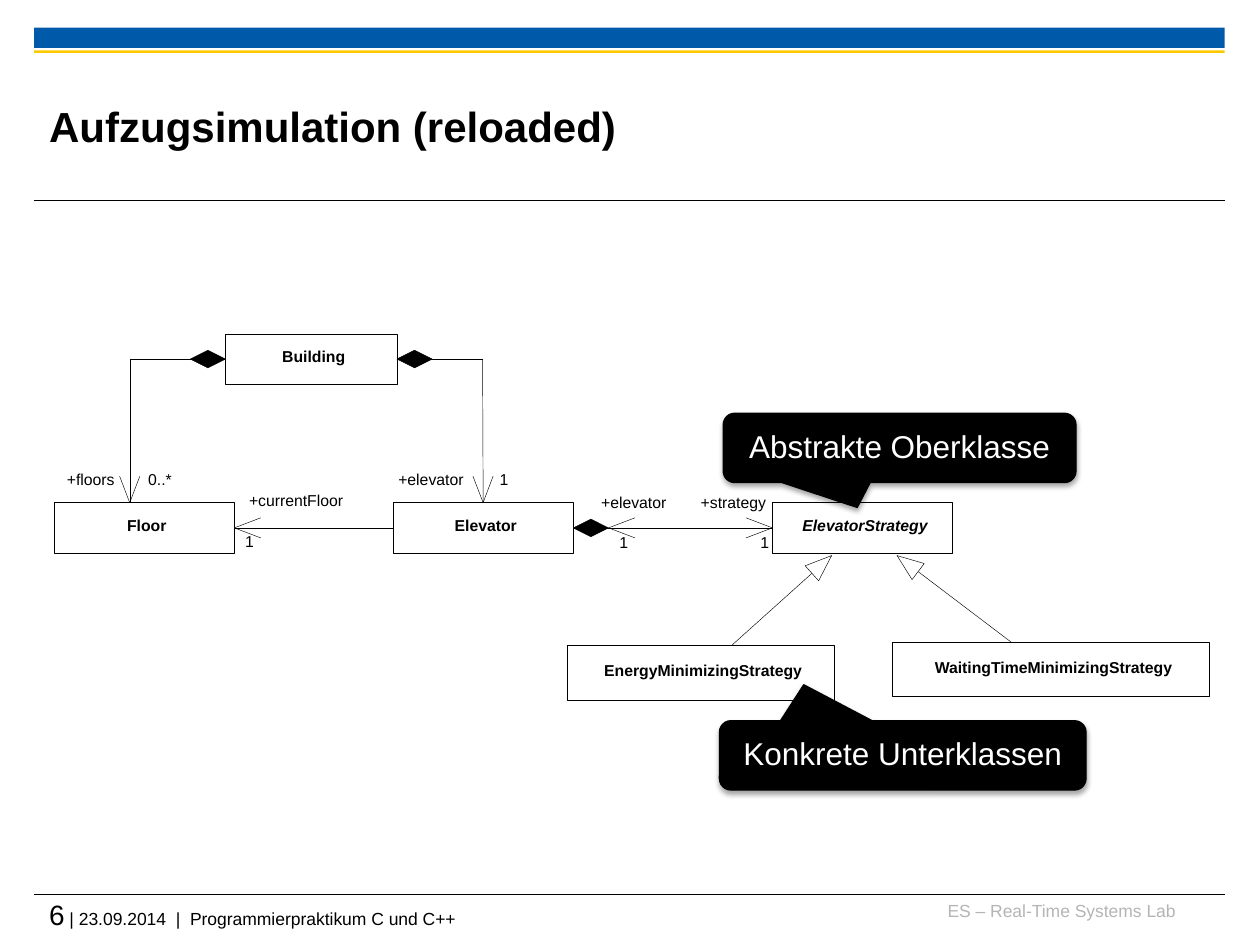
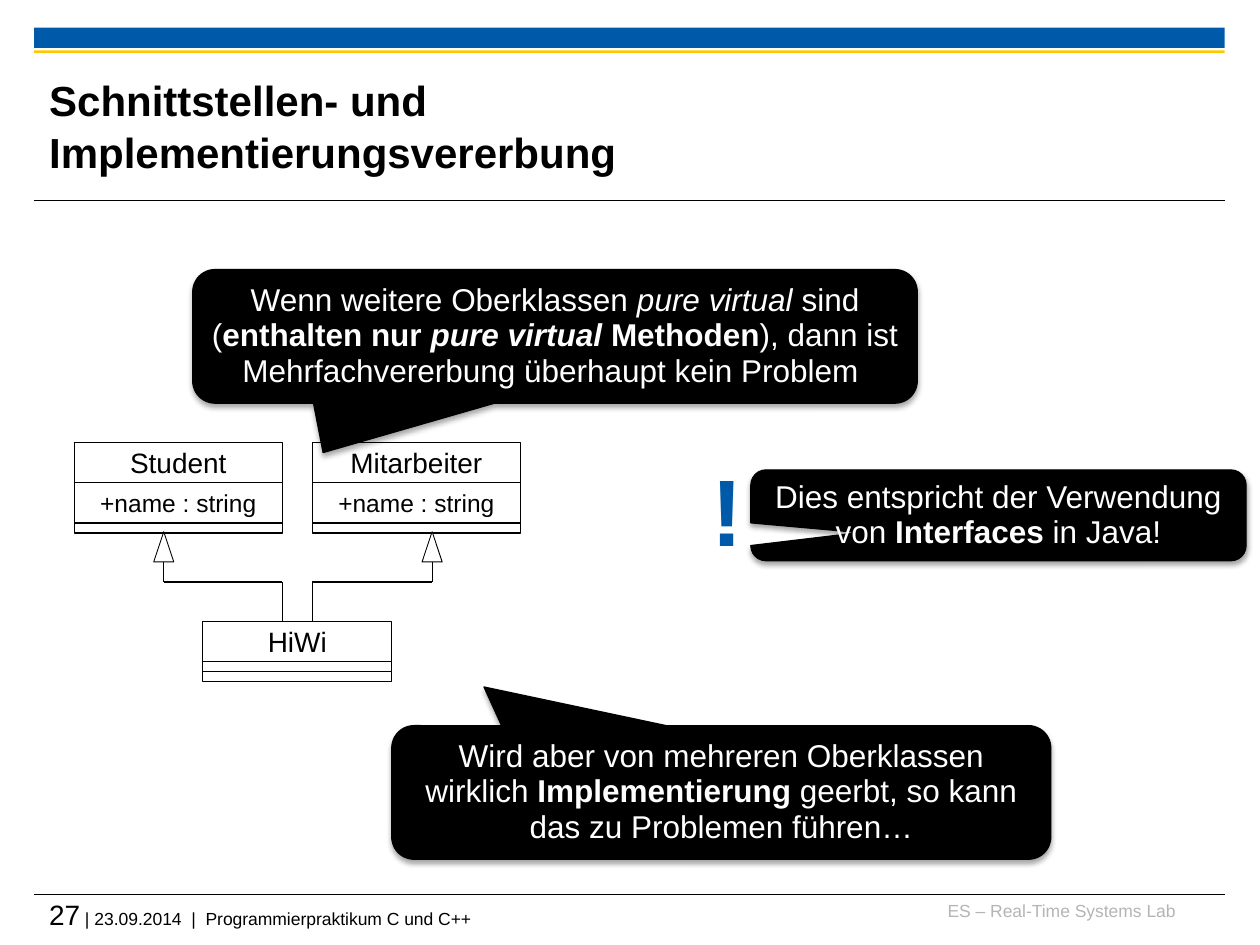
from math import hypot

from lxml import etree
from pptx import Presentation
from pptx.dml.color import RGBColor
from pptx.enum import shapes, text
from pptx.oxml.ns import qn
from pptx.util import Inches, Pt

WIDTH, HEIGHT = 10, 7.5
FONT = "Arial"
COLORS = {"ink": "000000", "paper": "FFFFFF", "blue": "005AA9",
          "gold": "FDCA00", "grey": "B5B5B5"}
HAIR, THIN, RULE, OUTLINE = 0.25, 0.5, 0.6, 0.75  # line widths in points

# Shared content
LAB = "ES – Real-Time Systems Lab"
FOOTER = " | 23.09.2014  |  Programmierpraktikum C und C++"
BANDS = [(0.22, 0.16, "blue"), (0.4, 0.02, "gold")]  # top, height, colour
RULES = [1.59, 7.1]

# Class diagram: name -> (left, top, width, height, text style)
CLASSES = {
    "Building": (1.79, 2.65, 1.36, 0.4, "b"),
    "Elevator": (3.12, 3.99, 1.43, 0.4, "b"),
    "ElevatorStrategy": (6.13, 3.99, 1.43, 0.4, "bi"),
    "Floor": (0.43, 3.99, 1.43, 0.4, "b"),
    "EnergyMinimizingStrategy": (4.5, 5.12, 2.12, 0.44, "b"),
    "WaitingTimeMinimizingStrategy": (7.08, 5.1, 2.52, 0.43, "b"),
}
TOP, LEFT, BOTTOM, RIGHT = range(4)
SIDES = [(0.5, 0), (0, 0.5), (0.5, 1), (1, 0.5)]
# A stop is a point or a class with one of its sides; the last stop is the tip
ASSOCIATIONS = [
    [("Elevator", LEFT), ("Floor", RIGHT)],
    [("Elevator", RIGHT), ("ElevatorStrategy", LEFT)],
    [("Building", RIGHT), (3.83, 2.85), ("Elevator", TOP)],
    [("Building", LEFT), (1.03, 2.85), (1.03, 3.99)],
]
INHERITANCE = [[(5.81, 5.12), (6.6, 4.41)], [(8.03, 5.1), (7.12, 4.41)]]
DIAMONDS = [("Building", LEFT), ("Building", RIGHT), ("Elevator", RIGHT)]
DIAMOND_WIDTH, DIAMOND_HEIGHT = 0.28, 0.14
HEAD_LENGTH, HEAD_HALF = 0.21, 0.08
LABELS = [  # text, centre x, top
    ("+currentFloor", 2.35, 3.91), ("1", 1.98, 4.23),
    ("+elevator", 5.03, 3.92), ("1", 4.95, 4.24),
    ("+strategy", 5.82, 3.92), ("1", 6.07, 4.24),
    ("+elevator", 3.42, 3.74), ("1", 4, 3.74),
    ("+floors", 0.72, 3.74), ("0..*", 1.27, 3.74),
]

# Callouts: area, pointer (x, y), spans of (text, style)
SIMULATION_CALLOUTS = [
    ((5.74, 3.28, 2.8, 0.55), (-0.12, 0.86), [("Abstrakte Oberklasse", "")]),
    ((5.71, 5.72, 2.91, 0.55), (-0.27, -1.02), [("Konkrete Unterklassen", "")]),
]
INHERITANCE_CALLOUTS = [
    ((1.53, 2.14, 5.75, 1.06), (-0.32, 0.87), [
        ("Wenn weitere Oberklassen ", ""), ("pure virtual ", "i"), ("sind (", ""),
        ("enthalten nur ", "b"), ("pure virtual ", "bi"), ("Methoden", "b"),
        ("), dann ist Mehrfachvererbung überhaupt kein Problem ", "")]),
    ((5.96, 3.73, 3.93, 0.72), (-0.28, 0.19), [
        ("Dies entspricht der Verwendung von ", ""), ("Interfaces", "b"),
        (" in Java!", "")]),
    ((3.11, 5.76, 5.23, 1.06), (-0.36, -0.79), [
        ("Wird aber von mehreren Oberklassen wirklich ", ""),
        ("Implementierung", "b"), (" geerbt, so kann das zu Problemen führen…", "")]),
]

# Class tables: left, top, width, rows of (text, size)
ROW, EMPTY_ROW = 0.32, 0.08
TABLES = [
    (1.61, 4.93, 1.5, [("HiWi", 16), None, None]),
    (0.59, 3.51, 1.65, [("Student", 16), ("+name : string", 14), None]),
    (2.48, 3.51, 1.65, [("Mitarbeiter", 16), ("+name : string", 14), None]),
]
BRANCHES = [(1.3, 2.24), (3.43, 2.48)]  # triangle x, x where it meets HiWi
TRIANGLE_WIDTH, TRIANGLE_HEIGHT = 0.16, 0.24
TABLE_FOOT, BEND, HIWI_TOP = 4.22, 4.62, 4.93


def color(name):
    return RGBColor.from_string(COLORS[name])


def paint(shape, fill=None, line=None):
    """Set fill and outline; None leaves that part out."""
    shape.shadow.inherit = False
    if fill:
        shape.fill.solid()
        shape.fill.fore_color.rgb = color(fill)
    else:
        shape.fill.background()
    if line is None:
        shape.line.fill.background()
    else:
        shape.line.color.rgb = color("ink")
        shape.line.width = Pt(line)


def write(shape, spans, align="CENTER", anchor="MIDDLE", inset=True, wrap=True,
          spacing=None):
    """Fill a shape with spans of (text, size, colour, style)."""
    frame = shape.text_frame
    frame.word_wrap = wrap
    frame.auto_size = text.MSO_AUTO_SIZE.NONE
    frame.vertical_anchor = text.MSO_ANCHOR[anchor]
    if not inset:
        frame.margin_left = frame.margin_right = 0
        frame.margin_top = frame.margin_bottom = 0
    para = frame.paragraphs[0]
    para.alignment = text.PP_ALIGN[align]
    if spacing:
        para.line_spacing = spacing
    for words, size, tint, style in spans:
        span = para.add_run()
        span.text = words
        span.font.name, span.font.size = FONT, Pt(size)
        span.font.color.rgb = color(tint)
        span.font.bold, span.font.italic = "b" in style, "i" in style


def add_box(page, kind, area, fill=None, line=None):
    box = page.shapes.add_shape(shapes.MSO_SHAPE[kind], *map(Inches, area))
    paint(box, fill, line)
    return box


def add_text(page, area, spans, **layout):
    box = page.shapes.add_textbox(*map(Inches, area))
    write(box, spans, **layout)


def add_line(page, start, end, width):
    line = page.shapes.add_connector(shapes.MSO_CONNECTOR.STRAIGHT,
                                     *map(Inches, (*start, *end)))
    line.line.color.rgb = color("ink")
    line.line.width = Pt(width)
    etree.SubElement(line._element.spPr, qn("a:effectLst"))
    return line


def add_head(page, start, tip, closed=False):
    """Draw an arrowhead at tip, for a line that comes from start."""
    dx, dy = tip[0] - start[0], tip[1] - start[1]
    length = hypot(dx, dy)
    dx, dy = dx / length, dy / length
    base_x, base_y = tip[0] - HEAD_LENGTH * dx, tip[1] - HEAD_LENGTH * dy
    corners = [(base_x - side * HEAD_HALF * dy, base_y + side * HEAD_HALF * dx)
               for side in (1, -1)]
    first, point, last = [(Inches(x), Inches(y))
                          for x, y in (corners[0], tip, corners[1])]
    builder = page.shapes.build_freeform(*first)
    builder.add_line_segments([point, last], close=closed)
    paint(builder.convert_to_shape(), "paper" if closed else None, HAIR)


def add_callout(page, area, pointer, spans):
    box = add_box(page, "ROUNDED_RECTANGULAR_CALLOUT", area, "ink", OUTLINE)
    box.adjustments[0], box.adjustments[1] = pointer
    effects = box._element.spPr.find(qn("a:effectLst"))
    shadow = etree.SubElement(effects, qn("a:outerShdw"), blurRad=str(Pt(3.1)),
                              dist=str(Pt(1.8)), dir="5400000", rotWithShape="0")
    tint = etree.SubElement(shadow, qn("a:srgbClr"), val=COLORS["ink"])
    etree.SubElement(tint, qn("a:alpha"), val="35000")
    write(box, [(words, 18, "paper", style) for words, style in spans], spacing=0.93)


def add_page(deck, title, number):
    """Start a page with the shared bands, rules, footer and title."""
    page = deck.slides.add_slide(deck.slide_layouts[5])
    margin, span = 0.27, 9.45
    for top, height, tint in BANDS:
        add_box(page, "RECTANGLE", (margin, top, span, height), tint)
    for y in RULES:
        add_line(page, (margin, y), (margin + span, y), RULE)
    add_text(page, (7.36, 7.14, 1.97, 0.25), [(LAB, 10, "grey", "")],
             align="RIGHT", anchor="TOP", inset=False)
    add_text(page, (0.39, 7.12, 9.33, 0.33),
             [(str(number), 16, "ink", ""), (FOOTER, 10, "ink", "")],
             align="LEFT", anchor="TOP", inset=False)
    heading = page.shapes.title
    heading.left, heading.top, heading.width, heading.height = map(
        Inches, (0.39, 0.53, 7.52, 0.92))
    write(heading, [(title, 24, "ink", "b")], align="LEFT", inset=False, spacing=1.03)
    return page


def place(stop):
    """Turn a stop into a point."""
    if stop[0] not in CLASSES:
        return stop
    left, top, width, height, _ = CLASSES[stop[0]]
    across, down = SIDES[stop[1]]
    return left + across * width, top + down * height


def draw_simulation(page):
    # Classes
    boxes = {}
    for name, (*area, style) in CLASSES.items():
        boxes[name] = add_box(page, "RECTANGLE", area, "paper", HAIR)
        write(boxes[name], [(name, 9, "ink", style)], inset=False, wrap=False,
              spacing=0.93)
        boxes[name].text_frame.margin_left = Inches(0.04)
        boxes[name].text_frame.margin_bottom = Inches(0.03)

    # Links and their heads
    for stops in ASSOCIATIONS + INHERITANCE:
        for start, end in zip(stops, stops[1:]):
            line = add_line(page, place(start), place(end), HAIR)
            if start[0] in boxes:
                line.begin_connect(boxes[start[0]], start[1])
            if end[0] in boxes:
                line.end_connect(boxes[end[0]], end[1])
        add_head(page, place(stops[-2]), place(stops[-1]), stops in INHERITANCE)

    # Compositions
    for stop in DIAMONDS:
        x, y = place(stop)
        left = x - DIAMOND_WIDTH if stop[1] == LEFT else x
        add_box(page, "DIAMOND", (left, y - DIAMOND_HEIGHT / 2, DIAMOND_WIDTH,
                                  DIAMOND_HEIGHT), "ink", HAIR)
    x, y = place(("Elevator", RIGHT))
    add_head(page, place(("ElevatorStrategy", LEFT)), (x + DIAMOND_WIDTH, y))

    # Roles and multiplicities
    for words, centre, top in LABELS:
        add_text(page, (centre - 0.45, top, 0.9, 0.18), [(words, 9, "ink", "")],
                 anchor="TOP", inset=False, wrap=False, spacing=0.93)
    for callout in SIMULATION_CALLOUTS:
        add_callout(page, *callout)


def draw_inheritance(page):
    # Class tables
    for left, top, width, rows in TABLES:
        for row in rows:
            height = ROW if row else EMPTY_ROW
            box = add_box(page, "RECTANGLE", (left, top, width, height),
                          "paper", OUTLINE)
            if row:
                write(box, [(*row, "ink", "")], wrap=False)
            top += height

    # Branches from HiWi up to its two base classes
    for x, joint in BRANCHES:
        add_box(page, "ISOSCELES_TRIANGLE", (x - TRIANGLE_WIDTH / 2, TABLE_FOOT,
                TRIANGLE_WIDTH, TRIANGLE_HEIGHT), "paper", THIN)
        add_line(page, (x, TABLE_FOOT + TRIANGLE_HEIGHT), (x, BEND), THIN)
        add_line(page, (x, BEND), (joint, BEND), OUTLINE)
        add_line(page, (joint, BEND), (joint, HIWI_TOP), OUTLINE)

    # Remarks
    for callout in INHERITANCE_CALLOUTS:
        add_callout(page, *callout)
    add_text(page, (5.55, 3.62, 0.45, 0.95), [("!", 54, "blue", "b")],
             anchor="TOP", wrap=False, spacing=0.93)


def main():
    deck = Presentation()
    deck.slide_width, deck.slide_height = Inches(WIDTH), Inches(HEIGHT)
    draw_simulation(add_page(deck, "Aufzugsimulation (reloaded)", 6))
    draw_inheritance(add_page(
        deck, "Schnittstellen- und Implementierungsvererbung", 27))
    deck.save("out.pptx")


if __name__ == "__main__":
    main()
